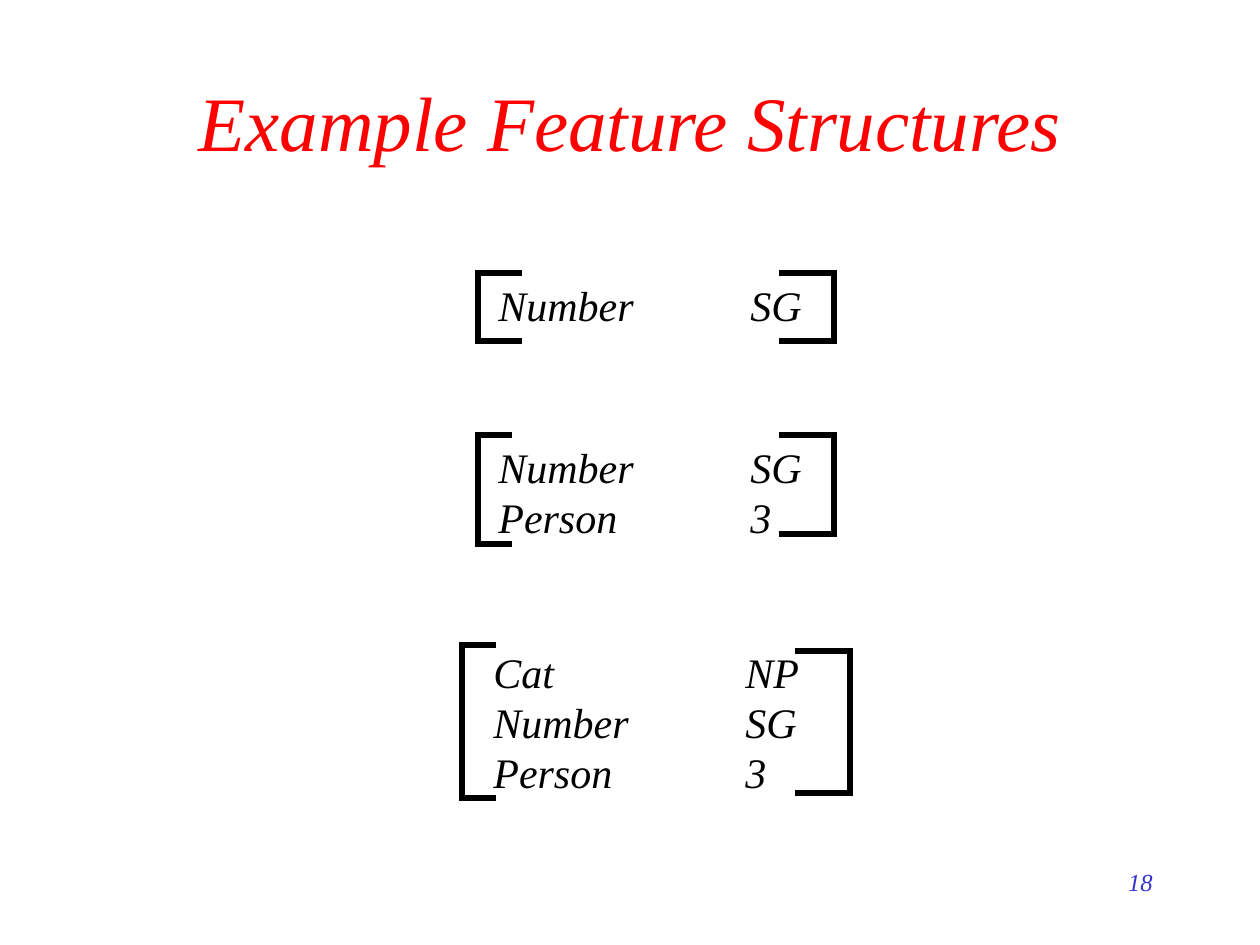
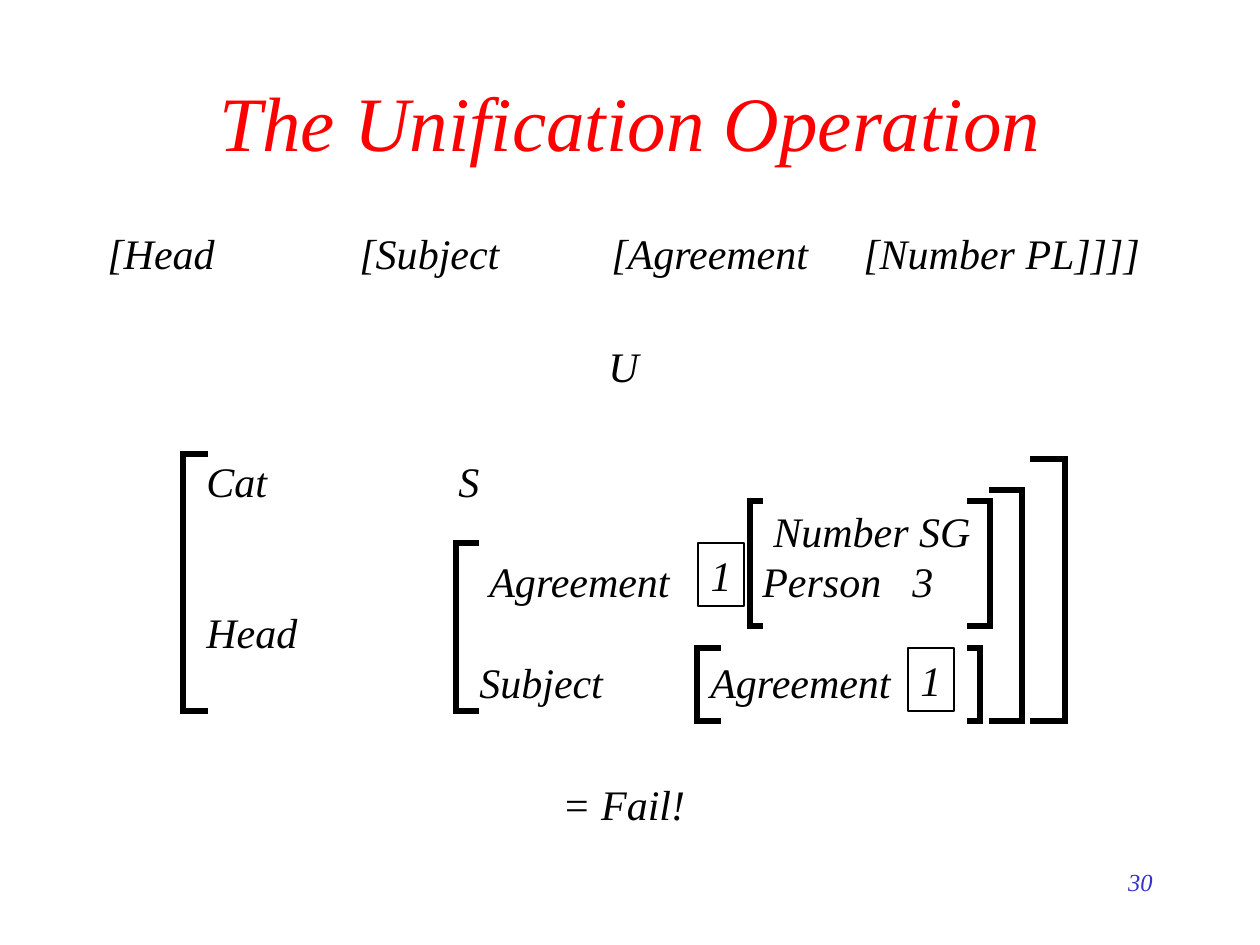
from dataclasses import dataclass

import pptx
import pptx.dml.color
import pptx.enum.shapes
import pptx.enum.text
import pptx.oxml
import pptx.oxml.ns
import pptx.util

RGBColor = pptx.dml.color.RGBColor
ALIGN = pptx.enum.text.PP_ALIGN
ANCHOR = pptx.enum.text.MSO_ANCHOR

RED = RGBColor(0xFF, 0x00, 0x00)
BLUE = RGBColor(0x33, 0x33, 0xCC)
BLACK = RGBColor(0x00, 0x00, 0x00)
FONT = "Times New Roman"
LINE_PITCH = 1.2
PX_PER_INCH = 126
VALUE_STOP = 252


def px(length: int) -> int:
    return round(length * 914400 / PX_PER_INCH)


@dataclass(frozen=True)
class Style:
    size: int
    color: RGBColor
    align: ALIGN = ALIGN.LEFT
    anchor: ANCHOR = ANCHOR.TOP


@dataclass(frozen=True)
class Row:
    text: str
    stops: tuple[int, ...] = ()


@dataclass(frozen=True)
class Label:
    left: int
    top: int
    width: int
    height: int
    rows: tuple[Row, ...]


@dataclass(frozen=True)
class Bracket:
    spine: int
    tip: int
    top: int
    bottom: int


@dataclass(frozen=True)
class Page:
    title: str
    number: str
    labels: tuple[Label, ...]
    brackets: tuple[Bracket, ...]
    tags: tuple[Label, ...] = ()


TITLE = Style(44, RED, ALIGN.CENTER, ANCHOR.MIDDLE)
NUMBER = Style(14, BLUE, ALIGN.RIGHT)
FEATURE = Style(24, BLACK)
TAG = Style(24, BLACK, ALIGN.CENTER)


def feature(name: str, value: str) -> Row:
    return Row(f"{name}\t{value}", (VALUE_STOP,))


CAT_NP = feature("Cat", "NP")
NUMBER_SG = feature("Number", "SG")
PERSON_3 = feature("Person", "3")

PAGES = (
    Page(
        "Example Feature Structures",
        "18",
        labels=(
            Label(486, 273, 334, 63, (NUMBER_SG,)),
            Label(486, 435, 334, 113, (NUMBER_SG, PERSON_3)),
            Label(481, 640, 334, 164, (CAT_NP, NUMBER_SG, PERSON_3)),
        ),
        brackets=(
            Bracket(478, 519, 273, 341),
            Bracket(834, 782, 273, 341),
            Bracket(478, 509, 435, 544),
            Bracket(834, 782, 435, 534),
            Bracket(462, 493, 645, 798),
            Bracket(850, 798, 651, 793),
        ),
    ),
    Page(
        "The Unification Operation",
        "30",
        labels=(
            Label(194, 449, 794, 264, (
                feature("Cat", "S"),
                Row("\tNumber SG", (567,)),
                Row("\tAgreement\tPerson\t3", (283, 556, 706)),
                Row("Head"),
                Row("\tSubject\tAgreement", (273, 504)),
            )),
            Label(95, 221, 1063, 63, (
                Row("[Head\t[Subject\t[Agreement\t[Number PL]]]]",
                    tuple(VALUE_STOP * step for step in (1, 2, 3))),
            )),
            Label(596, 334, 60, 63, (Row("U"),)),
            Label(550, 772, 152, 63, (Row("= Fail!"),)),
        ),
        brackets=(
            Bracket(183, 205, 454, 711),
            Bracket(1065, 1033, 459, 721),
            Bracket(1022, 992, 490, 721),
            Bracket(456, 476, 543, 711),
            Bracket(750, 760, 501, 626),
            Bracket(990, 970, 501, 626),
            Bracket(697, 718, 648, 721),
            Bracket(980, 970, 648, 721),
        ),
        tags=(
            Label(698, 543, 46, 63, (Row("1"),)),
            Label(908, 648, 46, 63, (Row("1"),)),
        ),
    ),
)


def add_tab_stops(paragraph, stops: tuple[int, ...]) -> None:
    qn = pptx.oxml.ns.qn
    properties = paragraph._p.get_or_add_pPr()
    tab_list = properties.makeelement(qn("a:tabLst"), {})
    properties.append(tab_list)
    for stop in stops:
        tab = tab_list.makeelement(qn("a:tab"), {"pos": str(px(stop)), "algn": "l"})
        tab_list.append(tab)


def write_rows(frame, rows: tuple[Row, ...], style: Style) -> None:
    frame.vertical_anchor = style.anchor
    frame.text = "\n".join(row.text for row in rows)
    for paragraph, row in zip(frame.paragraphs, rows):
        paragraph.alignment = style.align
        paragraph.line_spacing = pptx.util.Pt(style.size * LINE_PITCH)
        if row.stops:
            add_tab_stops(paragraph, row.stops)
        for run in paragraph.runs:
            run.font.name = FONT
            run.font.size = pptx.util.Pt(style.size)
            run.font.italic = True
            run.font.color.rgb = style.color


def add_label(slide, label: Label, style: Style) -> None:
    box = slide.shapes.add_textbox(
        px(label.left), px(label.top), px(label.width), px(label.height))
    box.text_frame.word_wrap = True
    write_rows(box.text_frame, label.rows, style)


def add_tag(slide, tag: Label) -> None:
    frame = slide.shapes.add_shape(
        pptx.enum.shapes.MSO_SHAPE.RECTANGLE,
        px(tag.left), px(tag.top), px(tag.width), px(tag.height))
    frame.shadow.inherit = False
    frame.fill.background()
    frame.line.color.rgb = BLACK
    frame.line.width = pptx.util.Pt(0.75)
    frame.text_frame.word_wrap = False
    write_rows(frame.text_frame, tag.rows, TAG)


def add_stroke(slide, x1: int, y1: int, x2: int, y2: int) -> None:
    qn = pptx.oxml.ns.qn
    stroke = slide.shapes.add_connector(
        pptx.enum.shapes.MSO_CONNECTOR.STRAIGHT, px(x1), px(y1), px(x2), px(y2))
    stroke.line.color.rgb = BLACK
    stroke.line.width = pptx.util.Pt(3)
    properties = stroke._element.spPr
    properties.find(qn("a:ln")).set("cap", "sq")
    properties.append(properties.makeelement(qn("a:effectLst"), {}))


def add_bracket(slide, bracket: Bracket) -> None:
    add_stroke(slide, bracket.spine, bracket.top, bracket.spine, bracket.bottom)
    for y in (bracket.top, bracket.bottom):
        add_stroke(slide, bracket.spine, y, bracket.tip, y)


def add_page(deck, page: Page) -> None:
    slide = deck.slides.add_slide(deck.slide_layouts[6])
    add_label(slide, Label(903, 861, 262, 63, (Row(page.number),)), NUMBER)
    add_label(slide, Label(95, 42, 1071, 157, (Row(page.title),)), TITLE)
    for label in page.labels:
        add_label(slide, label, FEATURE)
    for tag in page.tags:
        add_tag(slide, tag)
    for bracket in page.brackets:
        add_bracket(slide, bracket)


def main() -> None:
    deck = pptx.Presentation()
    deck.slide_width = px(1260)
    deck.slide_height = px(945)
    for page in PAGES:
        add_page(deck, page)
    deck.save("out.pptx")


if __name__ == "__main__":
    main()
